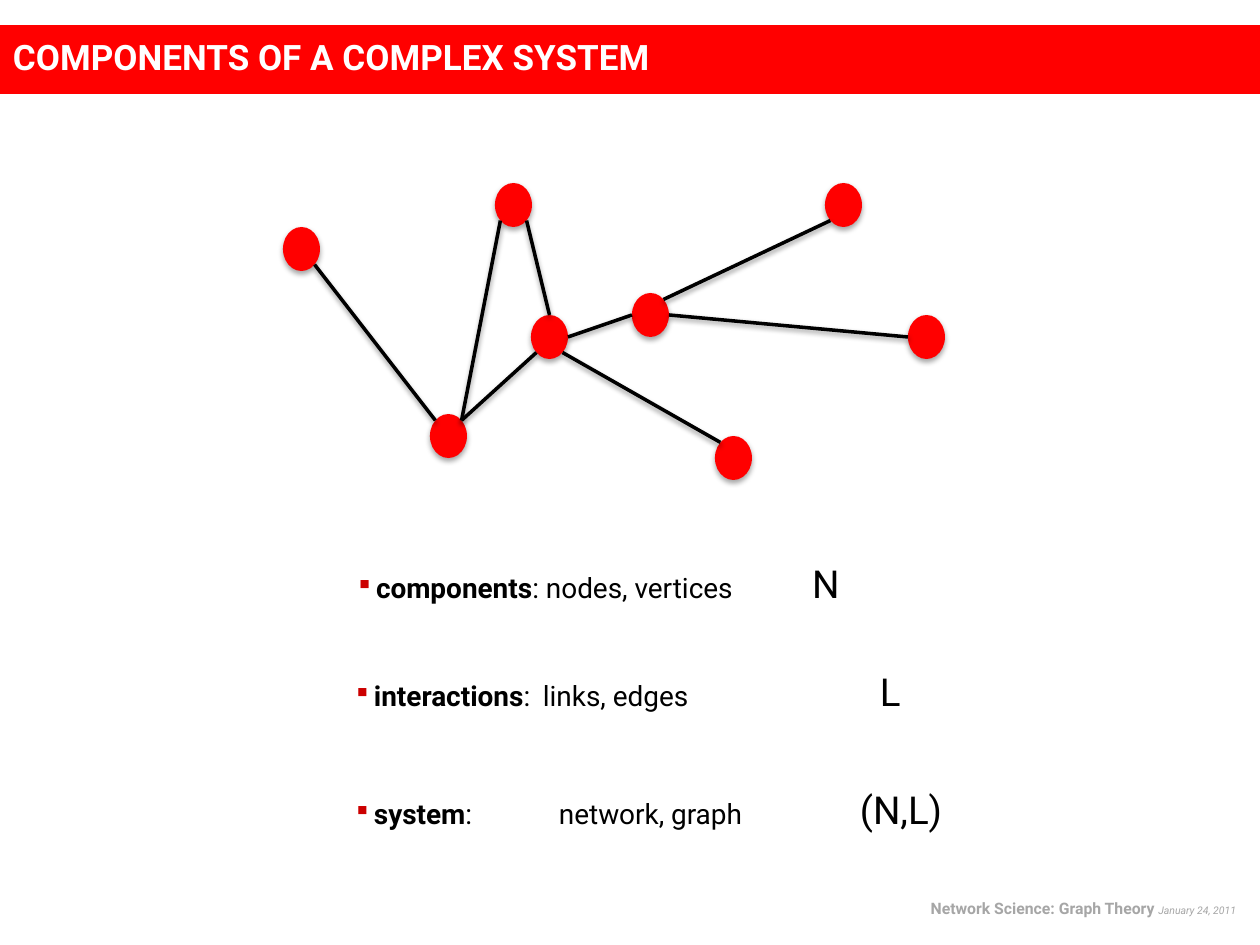
import math
import pptx
import pptx.util
import pptx.dml.color
import pptx.enum.shapes
import pptx.enum.text
import pptx.oxml
import pptx.oxml.ns

# Content, lengths in px (126 to the inch)
SCALE = 7257
FONT = "Roboto"
RED, BLACK, WHITE, GRAY, DARK = "FF0000", "000000", "FFFFFF", "A6A6A6", "CC0000"
TITLE = "COMPONENTS OF A COMPLEX SYSTEM"
FOOTER = [("Network Science: Graph Theory ", 9, True, False),
          ("January 24, 2011", 6, False, True)]

NODE_W, NODE_H = 37, 44
NODES = {"A": (283, 227), "B": (430, 414), "C": (495, 183), "D": (531, 315),
         "E": (632, 293), "F": (825, 183), "G": (908, 315), "H": (715, 436)}

# Each edge: node and angle where it leaves, node and angle where it lands
EDGES = [("A", 45, "B", 225), ("B", 315, "D", 135), ("C", 45, "D", 270),
         ("C", 135, "B", 315), ("D", 0, "E", 180), ("E", 315, "F", 135),
         ("D", 45, "H", 225), ("E", 0, "G", 180)]

# Left, top, width, label, terms, symbol, tab stops
TERMS = [(359, 510, 548, "components", ": nodes, vertices\t", "N", [453]),
         (357, 618, 554, "interactions", ":\tlinks, edges\t", "L", [186, 523]),
         (357, 736, 594, "system", ":\tnetwork, graph\t", "(N,L)", [202, 503])]
TERM_H, HANG = 97, 17


def px(n):
    return pptx.util.Emu(round(n * SCALE))


def color(code):
    return pptx.dml.color.RGBColor.from_string(code)


def xml(text):
    """Elements of the drawing namespace, as a list."""
    return list(pptx.oxml.parse_xml(f"<a:r {pptx.oxml.ns.nsdecls('a')}>{text}</a:r>"))


def shade(shape, alpha, blur, dist):
    """Soft shadow straight below; blur and distance in points."""
    shape._element.spPr.extend(xml(
        f'<a:effectLst><a:outerShdw blurRad="{round(blur * 12700)}" '
        f'dist="{round(dist * 12700)}" dir="5400000" rotWithShape="0">'
        f'<a:srgbClr val="{BLACK}"><a:alpha val="{alpha * 1000}"/></a:srgbClr>'
        '</a:outerShdw></a:effectLst>'))


def paint(shape, code):
    shape.fill.solid()
    shape.fill.fore_color.rgb = color(code)
    shape.line.fill.background()


def style(font, size, code):
    font.name, font.size = FONT, pptx.util.Pt(size)
    font.color.rgb = color(code)


def inset(frame, left, top, right, bottom):
    frame.word_wrap = True
    frame.vertical_anchor = pptx.enum.text.MSO_ANCHOR.TOP
    frame.margin_left, frame.margin_top = px(left), px(top)
    frame.margin_right, frame.margin_bottom = px(right), px(bottom)


def site(name, angle):
    """Point on the rim of a node, angle clockwise from the right."""
    left, top = NODES[name]
    turn = math.radians(angle)
    return (px(left + NODE_W / 2 * (1 + math.cos(turn))),
            px(top + NODE_H / 2 * (1 + math.sin(turn))))


deck = pptx.Presentation()
deck.slide_width, deck.slide_height = pptx.util.Inches(10), pptx.util.Inches(7.5)
slide = deck.slides.add_slide(deck.slide_layouts[6])
shapes = slide.shapes
KIND = pptx.enum.shapes.MSO_SHAPE

# Title bar
bar = shapes.add_shape(KIND.RECTANGLE, 0, px(25), px(1260), px(69))
bar.shadow.inherit = False
paint(bar, RED)
inset(bar.text_frame, 13, 10, 13, 6)
para = bar.text_frame.paragraphs[0]
para.text = TITLE
para.alignment = pptx.enum.text.PP_ALIGN.LEFT
style(para.font, 20, WHITE)
para.font.bold = True

# Footer
foot = shapes.add_textbox(px(892), px(893), px(357), px(32))
inset(foot.text_frame, 13, 6, 13, 6)
para = foot.text_frame.paragraphs[0]
para.alignment = pptx.enum.text.PP_ALIGN.RIGHT
for text, size, bold, slant in FOOTER:
    run = para.add_run()
    run.text = text
    style(run.font, size, GRAY)
    run.font.bold, run.font.italic = bold, slant

# Nodes
group = shapes.add_group_shape()
for left, top in NODES.values():
    node = group.shapes.add_shape(KIND.OVAL, px(left), px(top), px(NODE_W), px(NODE_H))
    paint(node, RED)
    shade(node, 35, 3.1, 1.8)

# Links
group = shapes.add_group_shape()
for start, out, end, into in EDGES:
    link = group.shapes.add_connector(pptx.enum.shapes.MSO_CONNECTOR.STRAIGHT,
                                      *site(start, out), *site(end, into))
    link.line.color.rgb = color(BLACK)
    link.line.width = pptx.util.Pt(2)
    shade(link, 38, 3.1, 1.6)

# Terms
for left, top, width, label, words, sign, stops in TERMS:
    box = shapes.add_textbox(px(left), px(top), px(width), px(TERM_H))
    inset(box.text_frame, 0, 53, 4, 0)
    para = box.text_frame.paragraphs[0]
    props = para._p.get_or_add_pPr()
    props.set("marL", str(px(HANG)))
    props.set("indent", str(-px(HANG)))
    tabs = "".join(f'<a:tab pos="{px(stop)}" algn="l"/>' for stop in stops)
    props.extend(xml(f'<a:buClr><a:srgbClr val="{DARK}"/></a:buClr>'
                     f'<a:buFont typeface="{FONT}"/><a:buChar char="▪"/>'
                     f'<a:tabLst>{tabs}</a:tabLst>'))
    style(para.font, 16, BLACK)
    for text, size, bold in [(label, 16, True), (words, 16, False), (sign, 22, False)]:
        run = para.add_run()
        run.text = text
        run.font.size, run.font.bold = pptx.util.Pt(size), bold

deck.save("out.pptx")
